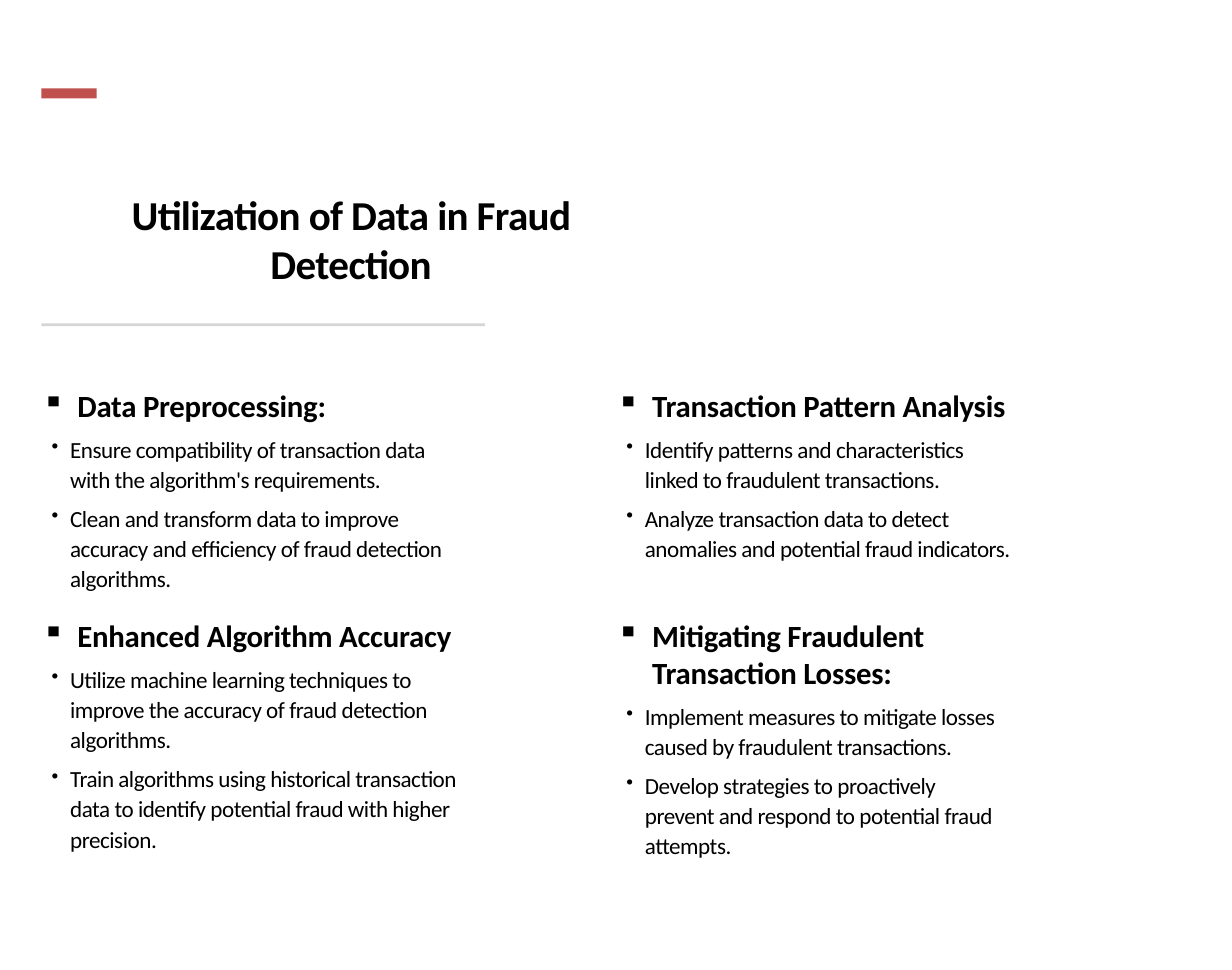
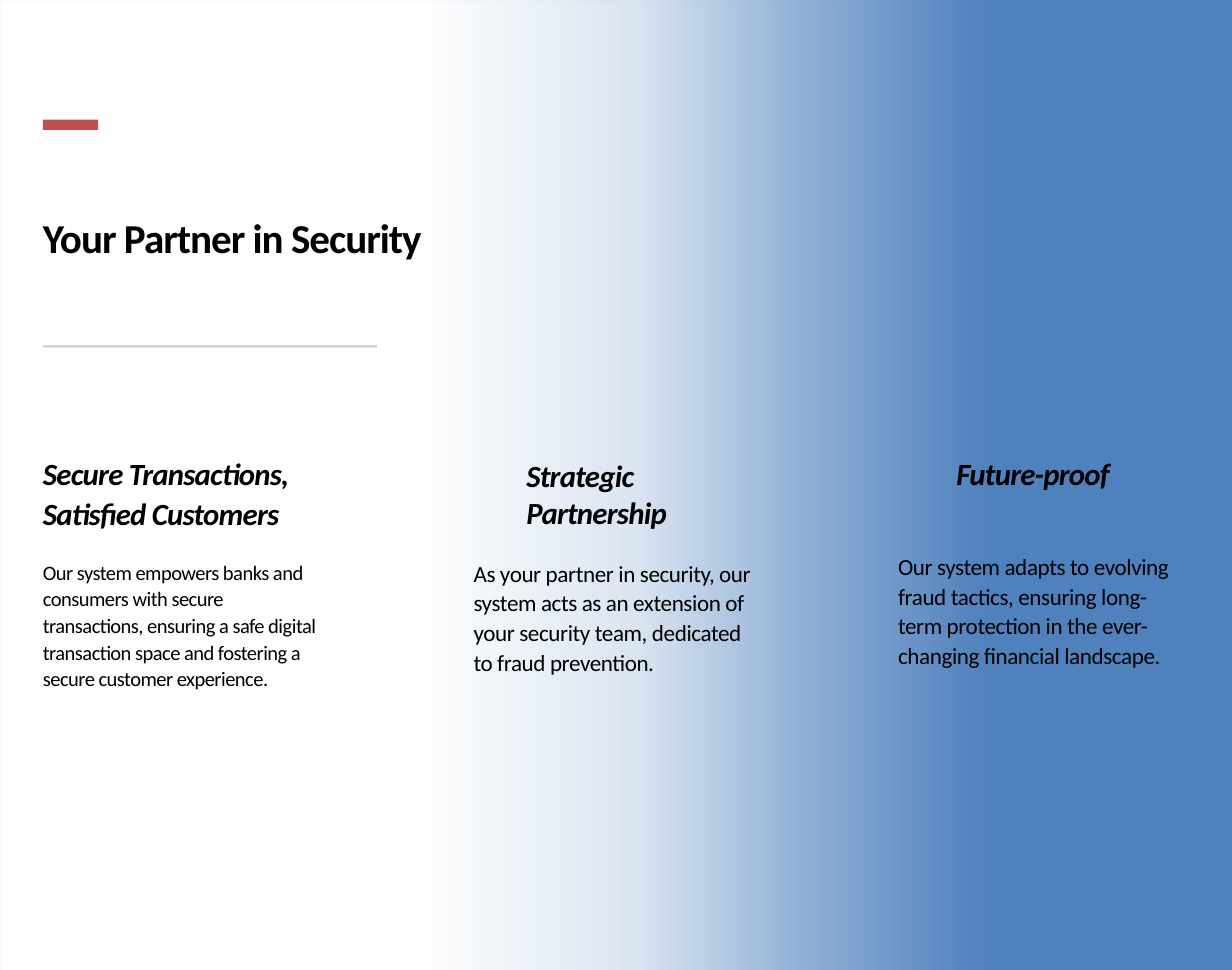
"""Build two slides on fraud detection: data utilization and partnership in security."""
from lxml import etree
from pptx import Presentation
from pptx.dml.color import RGBColor
from pptx.enum.shapes import MSO_SHAPE
from pptx.enum.text import MSO_ANCHOR, MSO_AUTO_SIZE, PP_ALIGN
from pptx.oxml import parse_xml
from pptx.oxml.ns import nsdecls, qn
from pptx.util import Cm, Pt

RECTANGLE = MSO_SHAPE.RECTANGLE
TOP = MSO_ANCHOR.TOP
GROW = MSO_AUTO_SIZE.SHAPE_TO_FIT_TEXT
LEFT, CENTER = PP_ALIGN.LEFT, PP_ALIGN.CENTER

COLORS = {"text": "000000", "accent": "C0504D", "rule": "D5D5D5", "panel": "4F81BD", "fade": "FFFFFF"}
FONT = "Calibri"
WIDTH, HEIGHT = 33.87, 26.67

TITLE = {"font": {"size": Pt(32), "bold": True}, "tracking": -50,
         "layout": {"alignment": CENTER, "space_before": Pt(1.2), "line_spacing": 1.0}}
LEFT_TITLE = {"font": TITLE["font"], "tracking": -80,
              "layout": {"alignment": LEFT, "space_before": Pt(6), "space_after": Pt(6), "line_spacing": 1.0}}
TOPIC = {"font": {"size": Pt(24), "bold": True}, "tracking": -20,
         "layout": {"space_before": Pt(9.5)}, "bullet": ("▪", 100, 0.99, -0.97)}
POINT = {"font": {"size": Pt(18), "bold": False}, "tracking": -36,
         "layout": {"space_before": Pt(6.8), "line_spacing": 1.09}, "bullet": ("•", 87, 0.79, -0.51)}
HEADING = {"font": {"size": Pt(24), "bold": True, "italic": True}, "tracking": -60,
           "layout": {"space_before": Pt(0.9)}}
LOOSE_HEADING = {**HEADING, "layout": {"space_before": Pt(1), "line_spacing": 1.09}}
CENTERED_HEADING = {**HEADING, "layout": {"alignment": CENTER, "space_before": Pt(0.9)}}
BODY = {"font": {"size": Pt(18)}, "tracking": -32,
        "layout": {"space_before": Pt(1.2), "line_spacing": 1.07}}
SMALL_BODY = {"font": {"size": Pt(16)}, "tracking": -40,
              "layout": {"space_before": Pt(1.2), "line_spacing": 1.08}}


def add_block(slide, color, left, top, width, height):
    block = slide.shapes.add_shape(RECTANGLE, Cm(left), Cm(top), Cm(width), Cm(height))
    block.shadow.inherit = False
    block.fill.solid()
    block.fill.fore_color.rgb = RGBColor.from_string(COLORS[color])
    block.line.fill.background()
    return block


def write(holder, box, insets, lines):
    holder.left, holder.top, holder.width, holder.height = [Cm(value) for value in box]
    frame = holder.text_frame
    top_inset, right_inset = insets
    settings = {"word_wrap": True, "auto_size": GROW, "vertical_anchor": TOP, "margin_left": 0,
                "margin_bottom": 0, "margin_top": Cm(top_inset), "margin_right": Cm(right_inset)}
    for key, value in settings.items():
        setattr(frame, key, value)
    for index, (text, style) in enumerate(lines):
        paragraph = frame.add_paragraph() if index else frame.paragraphs[0]
        for key, value in style["layout"].items():
            setattr(paragraph, key, value)
        if "bullet" in style:
            symbol, percent, margin, indent = style["bullet"]
            properties = paragraph._p.get_or_add_pPr()
            properties.set("marL", str(Cm(margin)))
            properties.set("indent", str(Cm(indent)))
            etree.SubElement(properties, qn("a:buSzPct")).set("val", str(percent * 1000))
            etree.SubElement(properties, qn("a:buChar")).set("char", symbol)
        run = paragraph.add_run()
        run.text = text
        for key, value in {"name": FONT, **style["font"]}.items():
            setattr(run.font, key, value)
        run.font.color.rgb = RGBColor.from_string(COLORS["text"])
        run._r.get_or_add_rPr().set("spc", str(style["tracking"]))


deck = Presentation()
deck.slide_width, deck.slide_height = Cm(WIDTH), Cm(HEIGHT)
title_only = deck.slide_layouts[5]

usage = deck.slides.add_slide(title_only)
add_block(usage, "accent", 1.14, 2.43, 1.52, 0.28)
add_block(usage, "rule", 1.14, 8.89, 12.19, 0.08)
write(usage.shapes.title, (1.4, 5.16, 16.5, 1.42), (0.05, 0),
      [("Utilization of Data in Fraud Detection", TITLE)])

topics = [
    ("Data Preprocessing:", 11.94, 5.18, 0.53,
     ["Ensure compatibility of transaction data with the algorithm's requirements.",
      "Clean and transform data to improve accuracy and efficiency of fraud detection algorithms."]),
    ("Transaction Pattern Analysis", 11.68, 5.18, 0.69,
     ["Identify patterns and characteristics linked to fraudulent transactions.",
      "Analyze transaction data to detect anomalies and potential fraud indicators."]),
    ("Enhanced Algorithm Accuracy", 12.09, 6.86, 0.43,
     ["Utilize machine learning techniques to improve the accuracy of fraud detection algorithms.",
      "Train algorithms using historical transaction data to identify potential fraud with higher precision."]),
    ("Mitigating Fraudulent Transaction Losses:", 11.86, 7.04, 1.22,
     ["Implement measures to mitigate losses caused by fraudulent transactions.",
      "Develop strategies to proactively prevent and respond to potential fraud attempts."]),
]
for index, (topic, width, height, right_inset, points) in enumerate(topics):
    row, column = divmod(index, 2)
    box = (1.14 + column * 15.8, 10.31 + row * 6.33, width, height)
    write(usage.shapes.add_textbox(0, 0, 0, 0), box, (0.33, right_inset),
          [(topic, TOPIC)] + [(point, POINT) for point in points])

partner = deck.slides.add_slide(title_only)
add_block(partner, "panel", 0, 0, WIDTH, HEIGHT)
fade = add_block(partner, "fade", 0, 0, 27.1, HEIGHT)
stops = "".join(
    f'<a:gs pos="{position * 1000}"><a:srgbClr val="{COLORS["fade"]}">'
    f'<a:alpha val="{opacity * 1000}"/></a:srgbClr></a:gs>'
    for position, opacity in [(0, 0), (19, 38), (35, 78), (58, 100), (100, 100)])
gradient = parse_xml(f'<a:gradFill {nsdecls("a")} rotWithShape="1"><a:gsLst>{stops}</a:gsLst>'
                     '<a:lin ang="10800000" scaled="0"/></a:gradFill>')
fade_properties = fade._element.spPr
fade_properties.replace(fade_properties.find(qn("a:solidFill")), gradient)
add_block(partner, "accent", 1.18, 3.29, 1.52, 0.28)
add_block(partner, "rule", 1.18, 9.49, 9.18, 0.07)
partner_title = partner.shapes.title
partner.shapes._spTree.append(partner_title._element)
write(partner_title, (1.18, 5.79, 18.26, 1.42), (0.05, 0),
      [("Your Partner in Security", LEFT_TITLE)])

benefits = [
    ("Secure Transactions, Satisfied Customers", LOOSE_HEADING, (1.18, 12.37, 6.96, 2.21),
     "Our system empowers banks and consumers with secure transactions, ensuring a safe digital "
     "transaction space and fostering a secure customer experience.",
     SMALL_BODY, (1.18, 15.29, 7.87, 3.71), 0.1),
    ("Strategic Partnership", HEADING, (14.47, 12.52, 4.95, 2.08),
     "As your partner in security, our system acts as an extension of your security team, "
     "dedicated to fraud prevention.",
     BODY, (13.02, 15.27, 7.87, 3.33), 0),
    ("Future-proof", CENTERED_HEADING, (24.69, 12.47, 7.42, 1.07),
     "Our system adapts to evolving fraud tactics, ensuring long-term protection in the "
     "ever-changing financial landscape.",
     BODY, (24.69, 15.09, 8, 3.33), 0.25),
]
for heading, heading_style, heading_box, body, body_style, body_box, right_inset in benefits:
    write(partner.shapes.add_textbox(0, 0, 0, 0), heading_box, (0.03, 0), [(heading, heading_style)])
    write(partner.shapes.add_textbox(0, 0, 0, 0), body_box, (0.05, right_inset), [(body, body_style)])

deck.save("out.pptx")
